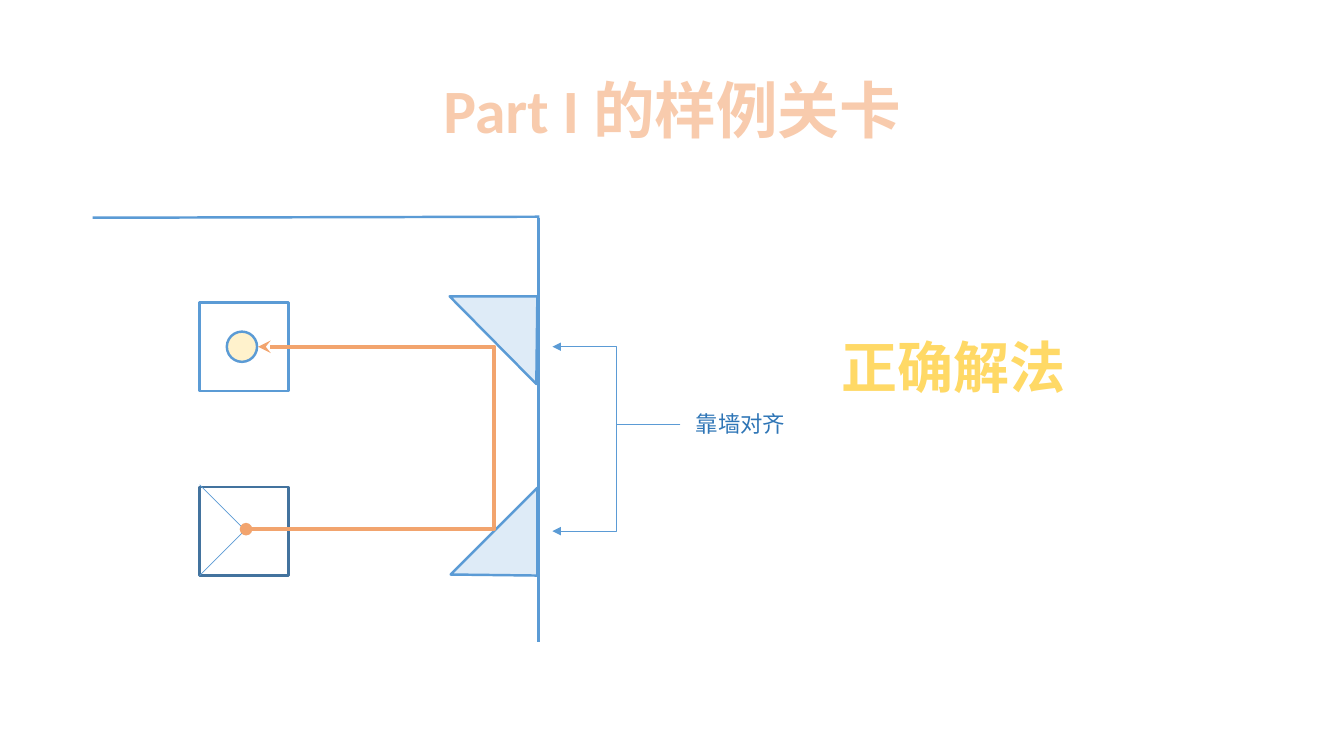
"""Build the mirror puzzle slide with its correct solution."""
from dataclasses import dataclass

from lxml.etree import SubElement
from pptx import Presentation
from pptx.dml.color import RGBColor
from pptx.enum.shapes import MSO_CONNECTOR, MSO_SHAPE
from pptx.enum.text import MSO_ANCHOR, MSO_AUTO_SIZE, PP_ALIGN
from pptx.oxml.ns import qn
from pptx.util import Pt

PX = 9144


@dataclass(frozen=True)
class Theme:
    blue: str = "5B9BD5"
    dark_blue: str = "43739E"
    label_blue: str = "2E75B6"
    mirror: str = "DEEBF7"
    target: str = "FFF2CC"
    white: str = "FFFFFF"
    ray: str = "F2A46E"
    title: str = "F8CBAD"
    solution: str = "FFD966"
    latin: str = "Calibri"
    cjk: str = "Noto Sans CJK SC"
    title_size: int = 44
    solution_size: int = 40
    label_size: int = 16
    thin: float = 0.5
    medium: float = 1.75
    thick: float = 3


THEME = Theme()


def set_line(s, color, width):
    s.line.color.rgb = RGBColor.from_string(color)
    s.line.width = Pt(width)


def paint(sp, fill, line=THEME.blue):
    sp.shadow.inherit = False
    sp.fill.solid()
    sp.fill.fore_color.rgb = RGBColor.from_string(fill)
    set_line(sp, line, THEME.medium)


def add_box(s, kind, x, y, size, fill, line=THEME.blue):
    box = [v * PX for v in (x, y, size, size)]
    paint(s.shapes.add_shape(kind, *box), fill, line)


def add_mirror(s, start, *corners):
    builder = s.shapes.build_freeform(*start, scale=PX)
    builder.add_line_segments(corners, close=True)
    paint(builder.convert_to_shape(), THEME.mirror)


def add_line(s, start, end, width, color=THEME.blue,
             kind=MSO_CONNECTOR.STRAIGHT, head=None, tail=None, bend=None):
    c = s.shapes.add_connector(kind, *[v * PX for v in (*start, *end)])
    set_line(c, color, width)
    sp_pr = c._element.spPr
    SubElement(sp_pr, qn("a:effectLst"))
    ln = sp_pr.find(qn("a:ln"))
    for tag, end_type in (("a:headEnd", head), ("a:tailEnd", tail)):
        if end_type:
            SubElement(ln, qn(tag), type=end_type)
    if bend is not None:
        guides = sp_pr.find(qn("a:prstGeom")).find(qn("a:avLst"))
        SubElement(guides, qn("a:gd"), name="adj1",
                   fmla=f"val {round(bend * 100000)}")


def add_text(s, x, y, w, h, text, size, color, font=THEME.latin, bold=True):
    tf = s.shapes.add_textbox(*[v * PX for v in (x, y, w, h)]).text_frame
    tf.word_wrap = True
    p = tf.paragraphs[0]
    p.text = text
    p.alignment = PP_ALIGN.CENTER
    p.font.size = Pt(size)
    p.font.bold = bold
    p.font.color.rgb = RGBColor.from_string(color)
    p.font.name = font
    SubElement(p._p.xpath("a:pPr/a:defRPr")[0], qn("a:ea"), typeface=THEME.cjk)
    return tf


def add_puzzle(s):
    add_line(s, (534, 216), (534, 637), THEME.medium)
    add_mirror(s, (533, 571), (533, 484), (447, 570))
    add_box(s, MSO_SHAPE.RECTANGLE, 198, 300, 88, THEME.white)
    add_box(s, MSO_SHAPE.OVAL, 225, 329, 30, THEME.target)
    add_box(s, MSO_SHAPE.RECTANGLE, 198, 483, 88, THEME.white, THEME.dark_blue)
    for start, end in (((198, 481), (242, 525)), ((198, 571), (242, 527))):
        add_line(s, start, end, THEME.thin)
    add_mirror(s, (533, 294), (446, 294), (532, 381))


def add_solution(s):
    start, end, turn_x = (244, 525), (256, 344), 490
    add_line(s, start, end, THEME.thick, THEME.ray, MSO_CONNECTOR.ELBOW,
             head="oval", tail="stealth",
             bend=(turn_x - start[0]) / (end[0] - start[0]))
    add_line(s, (535, 215), (92, 216), THEME.medium)


def add_callout(s):
    tf = add_text(s, 675, 402, 119, 37, "靠墙对齐", THEME.label_size,
                  THEME.label_blue, THEME.cjk, bold=False)
    tf.auto_size = MSO_AUTO_SIZE.SHAPE_TO_FIT_TEXT
    for y in (344, 527):
        add_line(s, (675, 421), (548, y), THEME.thin,
                 kind=MSO_CONNECTOR.ELBOW, tail="triangle")


def main():
    prs = Presentation()
    prs.slide_width, prs.slide_height = 1333 * PX, 750 * PX
    s = prs.slides.add_slide(prs.slide_layouts[6])
    add_puzzle(s)
    tf = add_text(s, 92, 40, 1150, 145, "Part I 的样例关卡",
                  THEME.title_size, THEME.title)
    tf.vertical_anchor = MSO_ANCHOR.MIDDLE
    tf.paragraphs[0].line_spacing = 0.9
    tf = add_text(s, 734, 325, 424, 77, "正确解法",
                  THEME.solution_size, THEME.solution)
    tf.auto_size = MSO_AUTO_SIZE.SHAPE_TO_FIT_TEXT
    add_solution(s)
    add_callout(s)
    prs.save("out.pptx")


if __name__ == "__main__":
    main()
